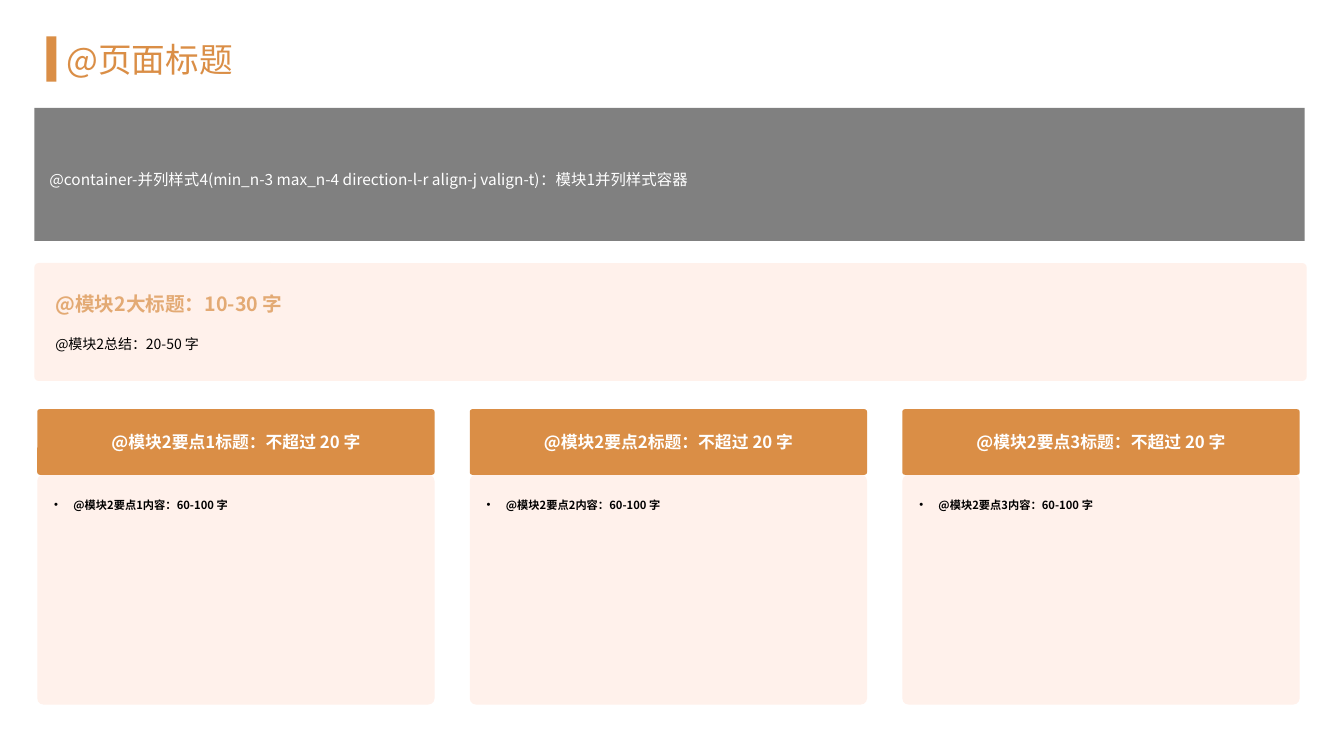
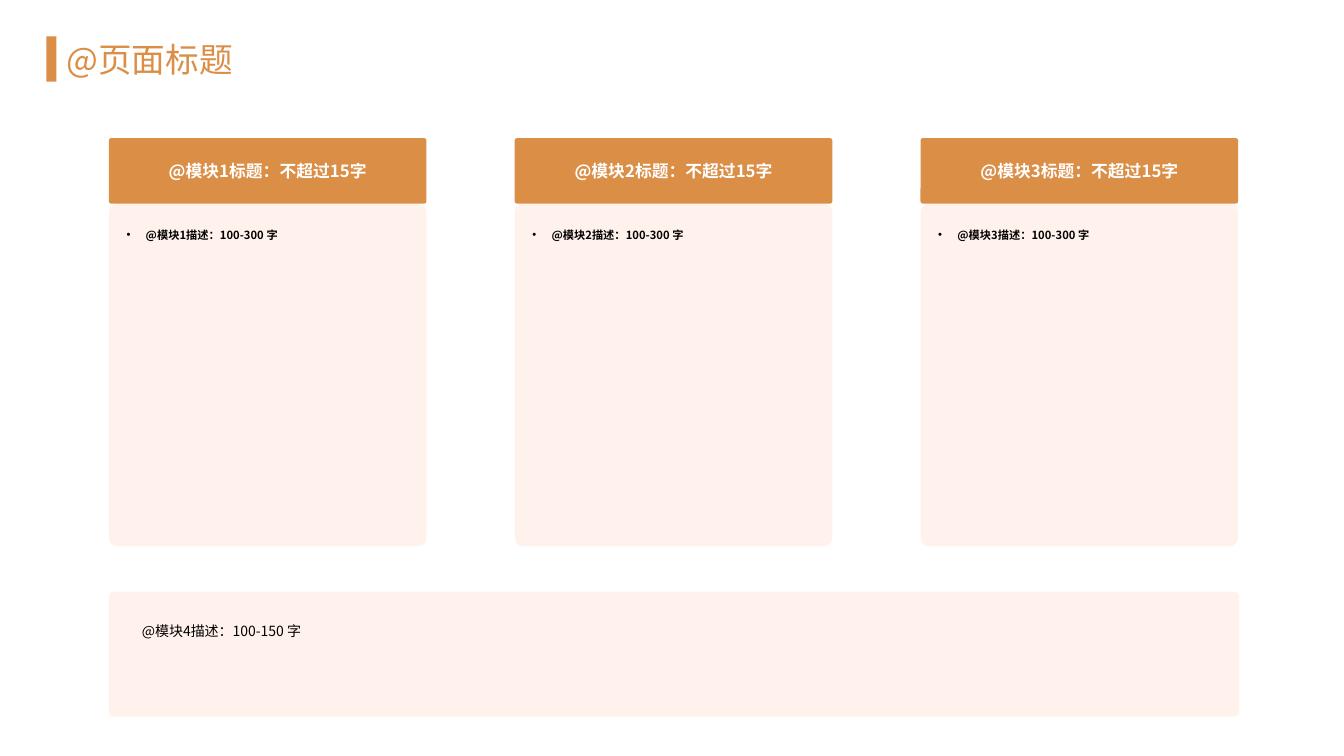
"""Build two slides of parallel modules: titled columns with tinted panels."""
from lxml import etree
from pptx import Presentation, util as u
from pptx.dml.color import RGBColor
from pptx.enum import shapes, text
from pptx.oxml.ns import qn

FONT = "Noto Sans CJK SC"
COLORS = {"accent": "DA8E46", "soft": "E3AA74", "tint": "FFF1EB",
          "gray": "808080", "ink": "000000", "white": "FFFFFF"}
RECT = shapes.MSO_SHAPE.RECTANGLE
ROUNDED = shapes.MSO_SHAPE.ROUNDED_RECTANGLE
LEFT, CENTER = text.PP_ALIGN.LEFT, text.PP_ALIGN.CENTER
TOP, MIDDLE = text.MSO_ANCHOR.TOP, text.MSO_ANCHOR.MIDDLE
HEADER_HEIGHT = 0.65


def color(name):
    """Return the palette colour of that name."""
    return RGBColor.from_string(COLORS[name])


def inches(*lengths):
    """Turn numbers into lengths."""
    return [u.Inches(length) for length in lengths]


def add_panel(page, box, fill, kind=ROUNDED, corner=0.038):
    """Add a filled, borderless panel."""
    panel = page.shapes.add_shape(kind, *inches(*box))
    panel.shadow.inherit = False
    panel.fill.solid()
    panel.fill.fore_color.rgb = color(fill)
    panel.line.fill.background()
    if kind == ROUNDED:
        panel.adjustments[0] = corner
    return panel


def write(shape, words, size, ink, bold=False, align=LEFT, anchor=TOP,
          spacing=None, inset=None):
    """Put one formatted paragraph into a shape and return it."""
    frame = shape.text_frame
    frame.word_wrap = True
    frame.auto_size = text.MSO_AUTO_SIZE.NONE
    frame.vertical_anchor = anchor
    if inset is not None:
        frame.margin_left = frame.margin_right = u.Inches(inset)
        frame.margin_top = frame.margin_bottom = u.Inches(inset)
    frame.text = words
    para = frame.paragraphs[0]
    para.alignment = align
    if spacing:
        para.line_spacing = spacing
    font = para.font
    font.name, font.size, font.bold = FONT, u.Pt(size), bold
    font.color.rgb = color(ink)
    defaults = para._p.pPr.find(qn("a:defRPr"))
    etree.SubElement(defaults, qn("a:ea")).set("typeface", FONT)
    return para


def add_bullet(para, indent=0.19):
    """Give a paragraph a round bullet with a hanging indent."""
    properties = para._p.pPr
    properties.set("marL", str(u.Inches(indent)))
    properties.set("indent", str(-u.Inches(indent)))
    defaults = properties.find(qn("a:defRPr"))
    for tag, key, value in (("a:buFont", "typeface", "Arial"),
                            ("a:buChar", "char", "•")):
        mark = etree.Element(qn(tag))
        mark.set(key, value)
        defaults.addprevious(mark)


def add_label(page, box, words, size, ink="ink", bold=False):
    """Add a text box with wide line spacing."""
    label = page.shapes.add_textbox(*inches(*box))
    write(label, words, size, ink, bold, spacing=1.5)


def add_card(page, box, heading, body):
    """Add a column: an accent header over a bulleted panel."""
    left, top, width, height = box
    panel = add_panel(page, (left, top + HEADER_HEIGHT, width, height - HEADER_HEIGHT),
                      "tint", corner=0.027)
    add_bullet(write(panel, body, 8, "ink", True, spacing=1.5, inset=0.15))
    header = add_panel(page, (left, top, width, HEADER_HEIGHT), "accent")
    write(header, heading, 12, "white", True, CENTER, MIDDLE)


def add_cards(page, box, card_width, cards):
    """Spread equal cards evenly across the box."""
    left, top, width, height = box
    step = (width - card_width) / (len(cards) - 1)
    for index, (heading, body) in enumerate(cards):
        add_card(page, (left + index * step, top, card_width, height), heading, body)


def add_container(page, box, words):
    """Add the gray container band."""
    band = add_panel(page, box, "gray", RECT)
    write(band, words, 11, "white", anchor=MIDDLE, spacing=1.5, inset=0.15)


def add_summary(page, box, heading, body):
    """Add a tinted panel with a heading and a summary line."""
    left, top, width, height = box
    add_panel(page, box, "tint")
    add_label(page, (left + 0.11, top + 0.59, width - 1.04, 0.45), body, 10)
    add_label(page, (left + 0.11, top + 0.12, 8.18, 0.45), heading, 14, "soft", True)


def add_note(page, box, words):
    """Add a tinted panel with one description."""
    left, top, width, height = box
    add_panel(page, box, "tint")
    add_label(page, (left + 0.23, top + 0.17, width - 0.47, height - 0.35), words, 10)


def style_layout(deck, layout):
    """Place the title and the accent bar on the shared layout."""
    title = layout.placeholders[0]
    title.left, title.top, title.width, title.height = inches(0.56, 0.28, 12.22, 0.61)
    draft = deck.slides.add_slide(layout)
    bar = add_panel(draft, (0.46, 0.36, 0.1, 0.45), "accent", RECT)
    layout.shapes._spTree.append(bar._element)
    return draft


def add_title(page, words):
    """Fill the title placeholder."""
    write(page.shapes.title, words, 24, "accent", anchor=MIDDLE)


def build_points(page):
    """Fill the slide of container, summary and key points."""
    add_title(page, "@页面标题")
    add_container(page, (0.34, 1.07, 12.6, 1.32),
                  "@container-并列样式4(min_n-3 max_n-4 direction-l-r align-j valign-t)"
                  "：模块1并列样式容器")
    add_summary(page, (0.34, 2.61, 12.62, 1.17),
                "@模块2大标题：10-30 字", "@模块2总结：20-50 字")
    add_cards(page, (0.37, 4.06, 12.52, 2.93), 3.94,
              [(f"@模块2要点{n}标题：不超过 20 字", f"@模块2要点{n}内容：60-100 字")
               for n in range(1, 4)])


def build_modules(page):
    """Fill the slide of three modules and a note."""
    add_title(page, "@页面标题")
    add_cards(page, (1.08, 1.37, 11.2, 4.05), 3.15,
              [(f"@模块{n}标题：不超过15字", f"@模块{n}描述：100-300 字")
               for n in range(1, 4)])
    add_note(page, (1.08, 5.87, 11.21, 1.24), "@模块4描述：100-150 字")


def main():
    """Build and save the deck."""
    deck = Presentation()
    deck.slide_width, deck.slide_height = inches(13.33, 7.5)
    layout = deck.slide_layouts[5]
    build_points(style_layout(deck, layout))
    build_modules(deck.slides.add_slide(layout))
    deck.save("out.pptx")


if __name__ == "__main__":
    main()
